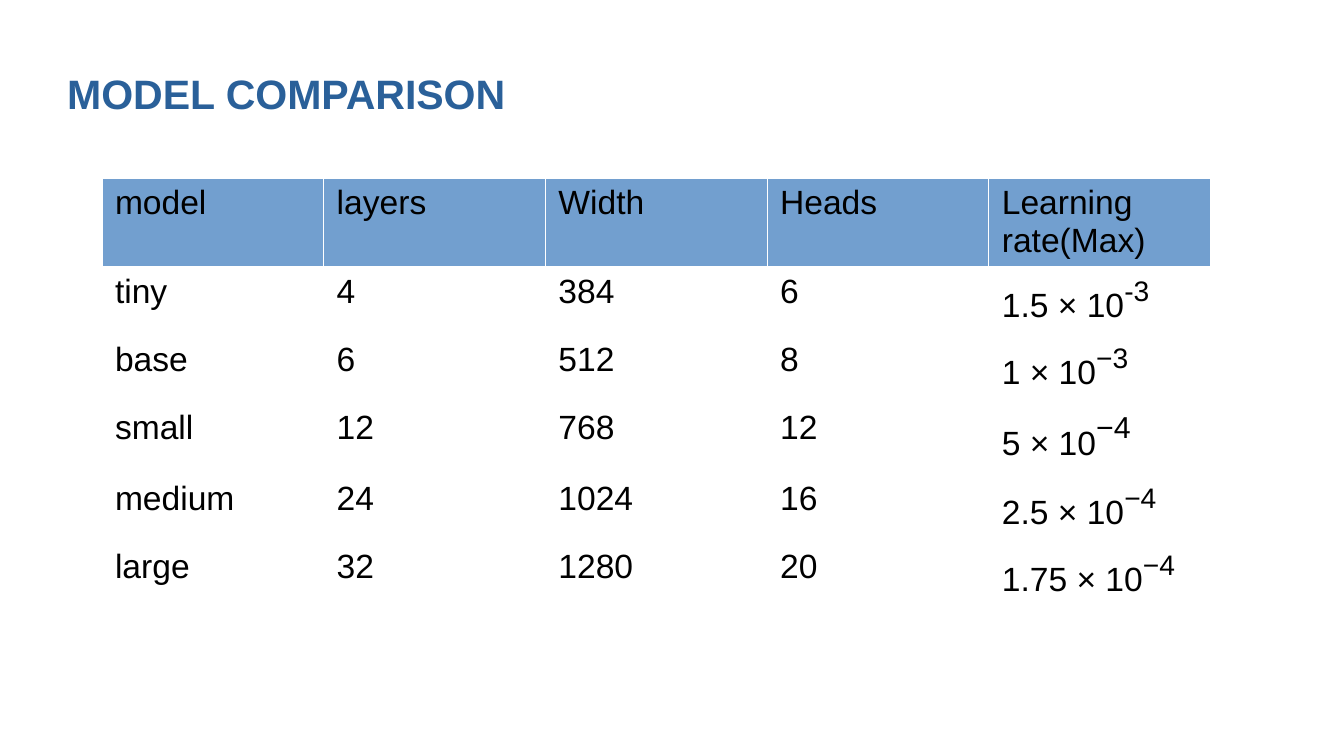
import pptx
import pptx.dml.color
import pptx.enum.text
import pptx.oxml
import pptx.oxml.ns
import pptx.util
from pptx.util import Cm


def colour(hex_value):
    return pptx.dml.color.RGBColor.from_string(hex_value)


def style(font, size, hex_value, bold=False):
    font.name = "Arial"
    font.size = pptx.util.Pt(size)
    font.bold = bold
    font.color.rgb = colour(hex_value)


deck = pptx.Presentation()
deck.slide_width = Cm(25.4)
deck.slide_height = Cm(14.29)
slide = deck.slides.add_slide(deck.slide_layouts[5])

title = slide.shapes.title
title.left, title.top, title.width, title.height = Cm(1.27), Cm(0.57), Cm(22.86), Cm(2.38)
heading = title.text_frame
heading.text = "MODEL COMPARISON"
heading.margin_left = heading.margin_right = heading.margin_top = heading.margin_bottom = 0
heading.vertical_anchor = pptx.enum.text.MSO_ANCHOR.MIDDLE
heading.paragraphs[0].alignment = pptx.enum.text.PP_ALIGN.LEFT
style(heading.paragraphs[0].font, 22, "2A6099", bold=True)

models = [
    ("model", "layers", "Width", "Heads", "Learning rate(Max)"),
    ("tiny", "4", "384", "6", "1.5 × 10^-3"),
    ("base", "6", "512", "8", "1 × 10^−3"),
    ("small", "12", "768", "12", "5 × 10^−4"),
    ("medium", "24", "1024", "16", "2.5 × 10^−4"),
    ("large", "32", "1280", "20", "1.75 × 10^−4"),
]
row_heights = [0.97, 1.28, 1.28, 1.35, 1.28, 1.28]
exponent_sizes = [26, 26, 26, 28, 26, 26]

comparison = slide.shapes.add_table(
    len(models), len(models[0]), Cm(1.92), Cm(3.36), Cm(20.95), Cm(sum(row_heights))
).table
comparison.first_row = False
comparison.horz_banding = False
for column in comparison.columns:
    column.width = Cm(4.19)

for row, (model, height, exponent_size) in enumerate(zip(models, row_heights, exponent_sizes)):
    comparison.rows[row].height = Cm(height)
    for col, value in enumerate(model):
        cell = comparison.cell(row, col)
        for side in "LRTB":
            cell._tc.get_or_add_tcPr().append(pptx.oxml.parse_xml(
                f'<a:ln{side} {pptx.oxml.ns.nsdecls("a")} w="720"><a:solidFill>'
                f'<a:srgbClr val="FFFFFF"/></a:solidFill></a:ln{side}>'
            ))
        cell.fill.solid()
        cell.fill.fore_color.rgb = colour("FFFFFF" if row else "729FCF")

        base, _, exponent = value.partition("^")
        paragraph = cell.text_frame.paragraphs[0]
        paragraph.add_run().text = base
        style(paragraph.font, 18, "000000")
        if exponent:
            power = paragraph.add_run()
            power.text = exponent
            power.font.size = pptx.util.Pt(exponent_size)
            power._r.get_or_add_rPr().set("baseline", "33000")

deck.save("out.pptx")
